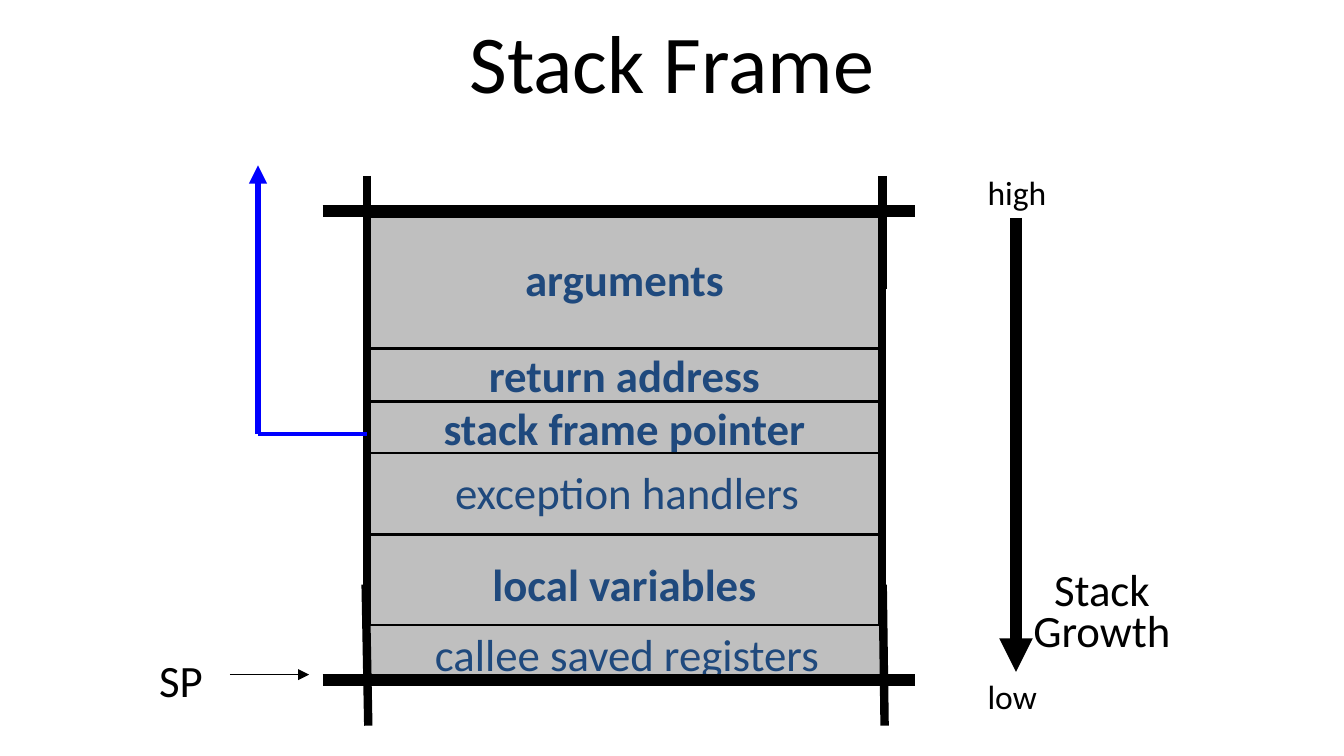
from lxml import etree
from pptx import Presentation
from pptx.dml.color import RGBColor
from pptx.enum.shapes import MSO_CONNECTOR, MSO_SHAPE
from pptx.enum.text import MSO_ANCHOR, MSO_AUTO_SIZE, PP_ALIGN
from pptx.oxml.ns import qn
from pptx.util import Pt

STRAIGHT = MSO_CONNECTOR.STRAIGHT
RECT = MSO_SHAPE.RECTANGLE
MIDDLE = MSO_ANCHOR.MIDDLE
LEFT, CENTER = PP_ALIGN.LEFT, PP_ALIGN.CENTER
FIT_SHAPE = MSO_AUTO_SIZE.SHAPE_TO_FIT_TEXT

BLACK = RGBColor(0x00, 0x00, 0x00)
GRAY = RGBColor(0xBF, 0xBF, 0xBF)
NAVY = RGBColor(0x1F, 0x49, 0x7D)
BLUE = RGBColor(0x00, 0x00, 0xFF)
FONT = "Calibri"

# label, left offset, top offset, height, bold
UPPER_ROWS = [
    ("exception handlers", 1.4, 129.6, 44.6, False),
    ("arguments", 0, 0, 74.9, True),
    ("return address", 0, 75.6, 27.4, True),
    ("stack frame pointer", 0, 103.7, 27.4, True),
    ("local variables", 0, 175, 52.6, True),
]
BOTTOM_ROW = ("callee saved registers", 1.4, 223.2, 30.2, False)


def add_text(p, text, size, color=BLACK, bold=False, align=CENTER):
    p.alignment = align
    r = p.add_run()
    r.text = text
    r.font.name = FONT
    r.font.size = Pt(size)
    r.font.bold = bold
    r.font.color.rgb = color


def add_line(shapes, x1, y1, x2, y2, width, color=BLACK, arrow=False):
    line = shapes.add_connector(STRAIGHT, Pt(x1), Pt(y1), Pt(x2), Pt(y2))
    line.line.width = Pt(width)
    line.line.color.rgb = color
    if arrow:
        ln = line.line._get_or_add_ln()
        etree.SubElement(ln, qn("a:tailEnd"), type="triangle")
    etree.SubElement(line._element.spPr, qn("a:effectLst"))


def add_rect(s, x, y, w, h, width):
    sp = s.shapes.add_shape(RECT, Pt(x), Pt(y), Pt(w), Pt(h))
    sp.shadow.inherit = False
    sp.fill.background()
    sp.line.color.rgb = BLACK
    sp.line.width = Pt(width)
    return sp


def add_label(s, x, y, w, h, lines, size, align=CENTER):
    tf = s.shapes.add_textbox(Pt(x), Pt(y), Pt(w), Pt(h)).text_frame
    tf.word_wrap = False
    tf.auto_size = FIT_SHAPE
    for i, text in enumerate(lines):
        p = tf.add_paragraph() if i else tf.paragraphs[0]
        if i:
            p.line_spacing = 0.75
        add_text(p, text, size, align=align)


def add_title(s, x, y, w, h):
    tf = s.shapes.add_textbox(Pt(x), Pt(y), Pt(w), Pt(h)).text_frame
    tf.word_wrap = True
    tf.vertical_anchor = MIDDLE
    add_text(tf.paragraphs[0], "Stack Frame", 44)


def add_row(s, x, y, w, row):
    label, dx, dy, h, bold = row
    sp = add_rect(s, x + dx, y + dy, w, h, 0.75)
    sp.fill.solid()
    sp.fill.fore_color.rgb = GRAY
    tf = sp.text_frame
    tf.word_wrap = False
    tf.vertical_anchor = MIDDLE
    add_text(tf.paragraphs[0], label, 24, NAVY, bold)


def add_stack(s, x, y, w, h):
    """Memory rows inside a heavy frame whose edges run past its corners."""
    right, bottom = x + w, y + h
    for row in UPPER_ROWS:
        add_row(s, x, y, w, row)
    add_line(s.shapes, x, y + 5, right, y + 5, 0.75)
    add_rect(s, x, y + 2.2, w, 226.8, 4.5)
    add_row(s, x, y, w, BOTTOM_ROW)
    for rail in (y + 1.4, bottom):
        add_line(s.shapes, x - 23.8, rail, right + 18, rail, 6)
    for edge, lean_top, lean_bottom in ((x, -0.7, 0.7), (right + 0.5, 0, 1)):
        add_line(s.shapes, edge, y - 17.3, edge, y + 43.2, 4.5)
        add_line(s.shapes, edge + lean_top, bottom - 51.1,
                 edge + lean_bottom, bottom + 24.5, 4.5)


def add_frame_link(s, x, y, w, h):
    """Arrow from the saved frame pointer up to the previous frame."""
    shapes = s.shapes.add_group_shape().shapes
    add_line(shapes, x + w, y + h, x, y + h, 2.25, BLUE)
    add_line(shapes, x, y + h, x, y, 3.25, BLUE, arrow=True)


def add_stack_pointer(s, x, y, w, h):
    add_label(s, x, y, 38.2, h, ["SP"], 24)
    add_line(s.shapes, x + 45.4, y + 15.1, x + w, y + 15.1, 0.75, arrow=True)


def add_growth_axis(s, x, y, w, h):
    axis = x + 22.3
    add_label(s, x, y, 46.1, 28.8, ["high"], 18, LEFT)
    add_line(s.shapes, axis, y + 28.1, axis, y + h - 27.4, 6, arrow=True)
    add_label(s, x + w - 89.3, y + 208.8, 89.3, 60.5, ["Stack", "Growth"], 24)
    add_label(s, x, y + h - 28.8, 41, 28.8, ["low"], 18, LEFT)


def main():
    prs = Presentation()
    prs.slide_width, prs.slide_height = Pt(720), Pt(405)
    s = prs.slides.add_slide(prs.slide_layouts[6])
    add_title(s, 36, -1.4, 648, 67.7)
    add_stack(s, 196.6, 111.6, 275.8, 252.7)
    add_frame_link(s, 138.2, 88.6, 58.4, 144)
    add_stack_pointer(s, 77.8, 346.3, 87.8, 36)
    add_growth_axis(s, 522, 88.6, 113, 298.8)
    prs.save("out.pptx")


if __name__ == "__main__":
    main()
